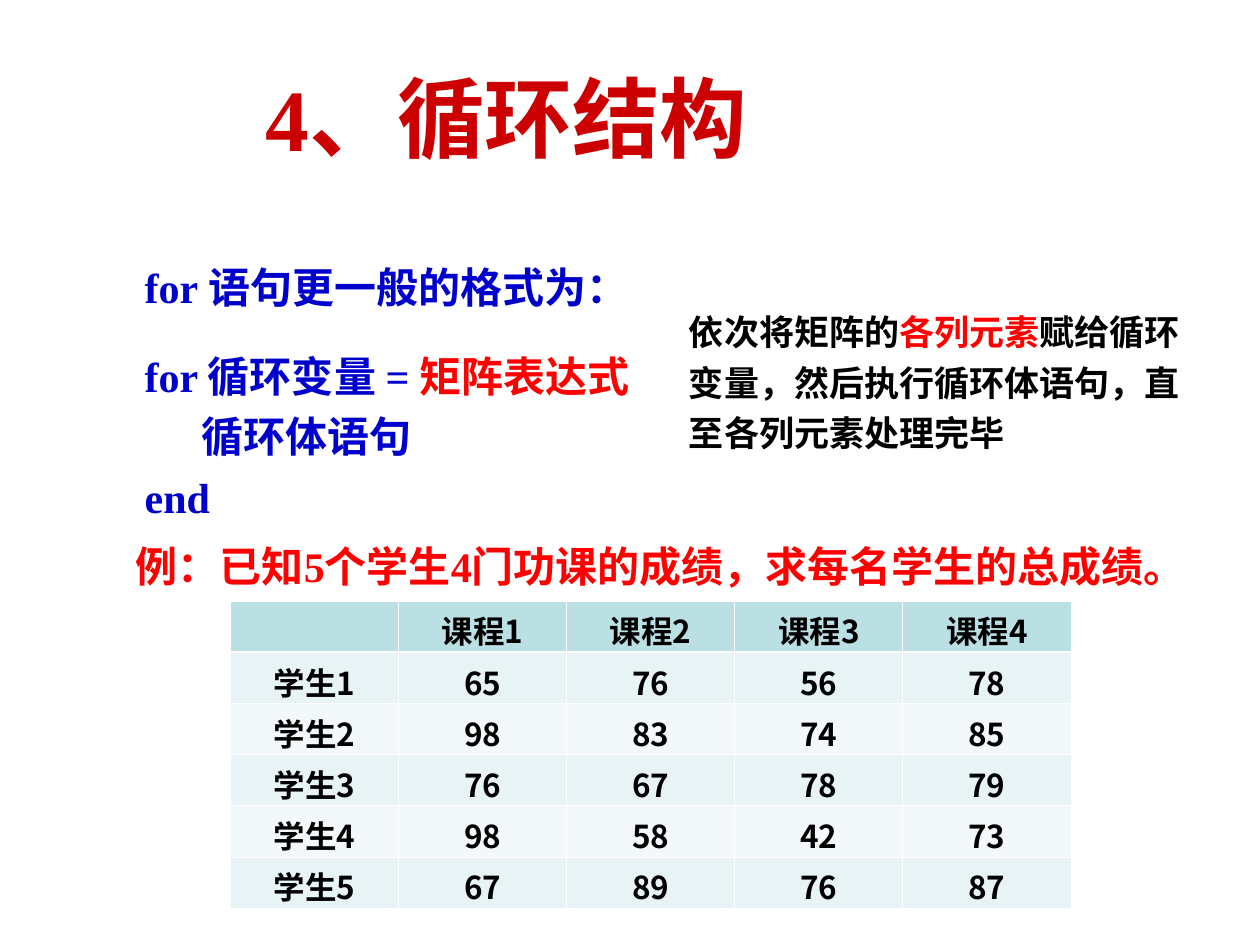
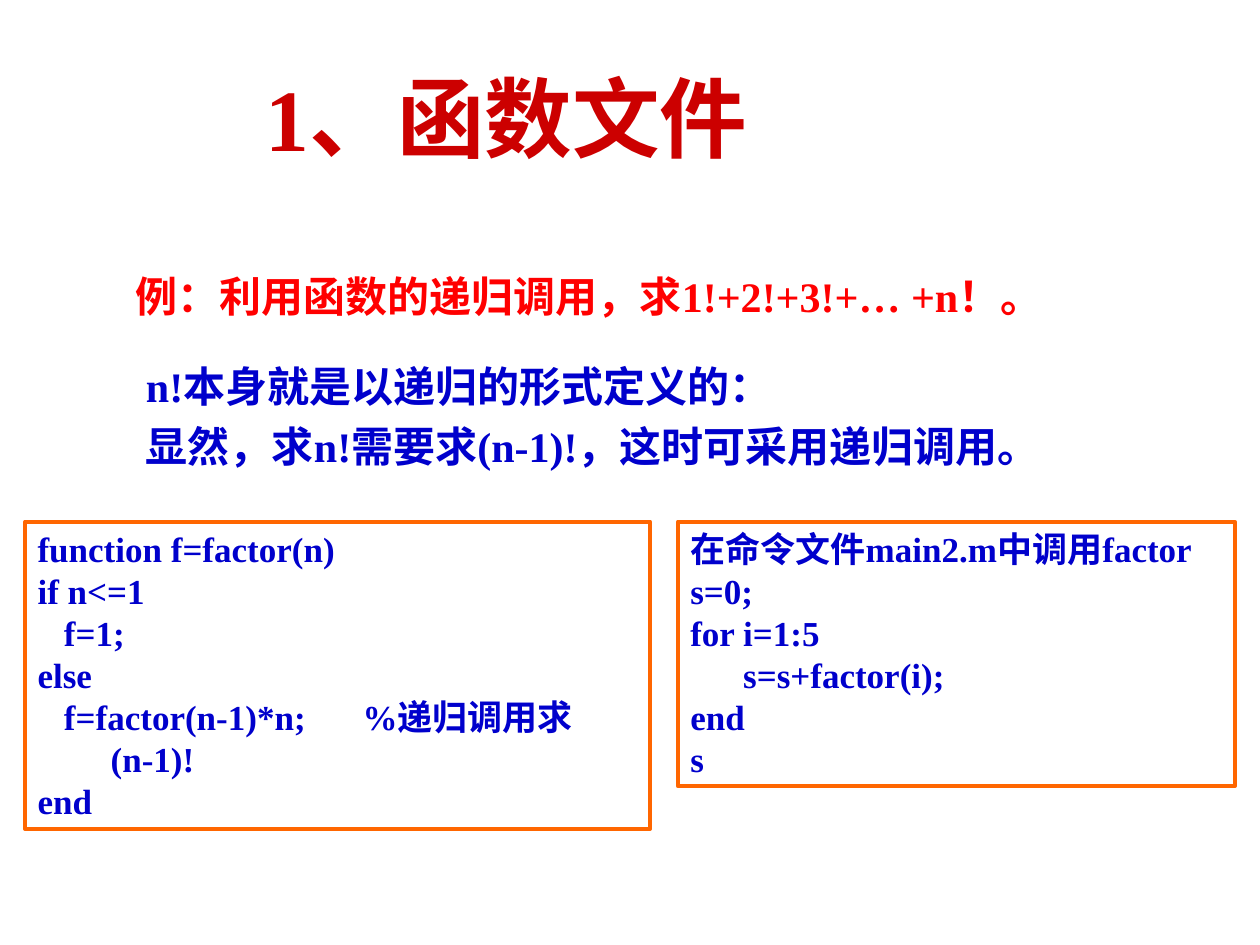
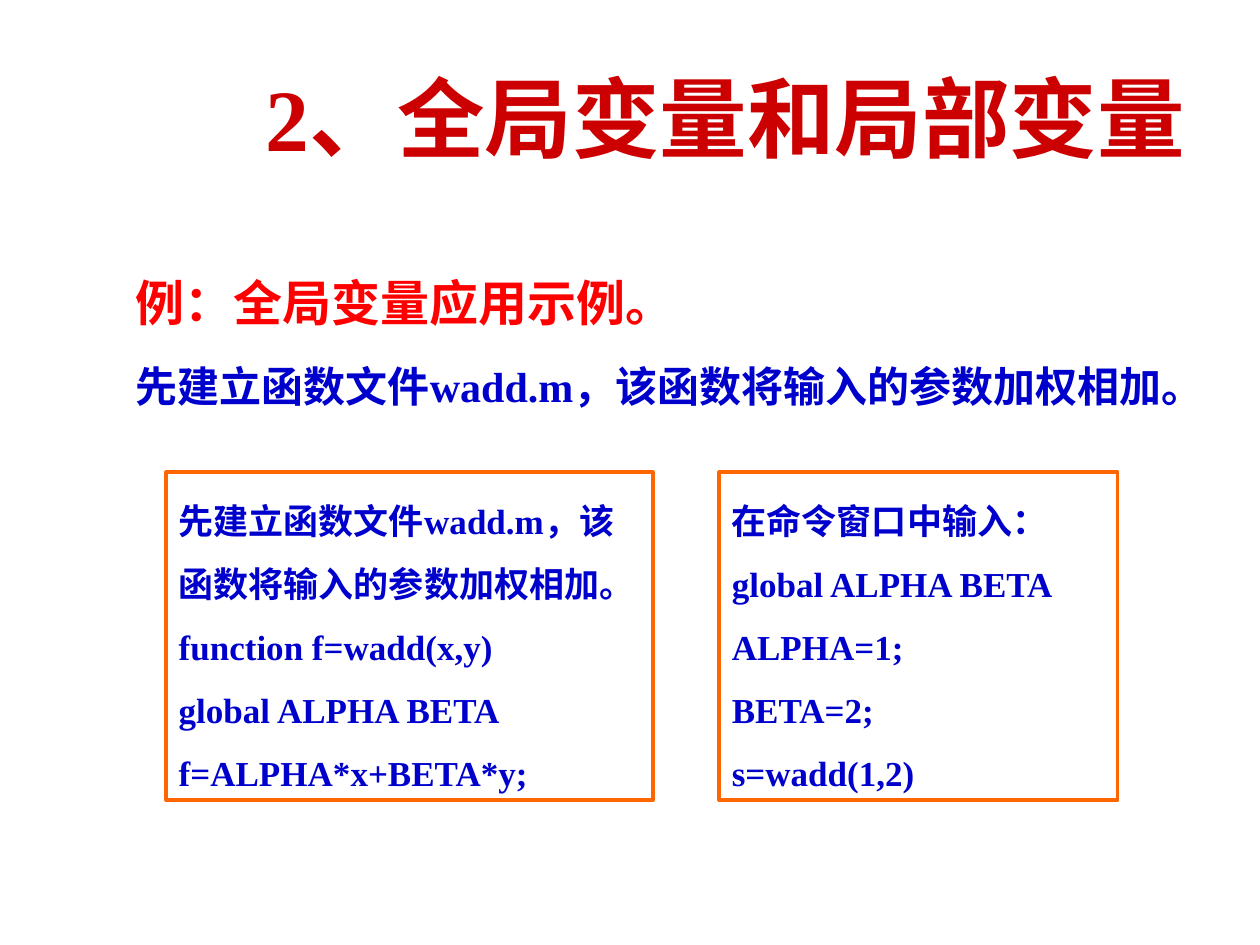
from dataclasses import dataclass

from lxml.etree import SubElement
from pptx import Presentation
from pptx.dml.color import RGBColor
from pptx.enum.shapes import MSO_SHAPE
from pptx.enum.text import MSO_ANCHOR, MSO_AUTO_SIZE, PP_ALIGN
from pptx.oxml.ns import qn
from pptx.util import Inches, Pt

LATIN_FONT = "Times New Roman"
CHINESE_FONT = "Noto Sans CJK SC"
TITLE_RED, RED, BLUE, BLACK = "CC0000", "FF0000", "0000CC", "000000"
FRAME_ORANGE, WHITE = "FF6600", "FFFFFF"
HEADER_FILL, BAND_FILLS = "BBE0E3", ("E7F3F4", "F3F9FA")
HANG = 0.58
CODE_TOP_RECURSION, CODE_TOP_GLOBAL = 4.14, 3.75

SCORES = [
    ["", "课程1", "课程2", "课程3", "课程4"],
    ["学生1", "65", "76", "56", "78"],
    ["学生2", "98", "83", "74", "85"],
    ["学生3", "76", "67", "78", "79"],
    ["学生4", "98", "58", "42", "73"],
    ["学生5", "67", "89", "76", "87"],
]


@dataclass
class Line:
    """One paragraph: (text, colour) runs, first-line offset and tab stop in inches."""
    runs: list
    offset: float = 0
    tab: float = 0


def rgb(value):
    return RGBColor.from_string(value)


def blue_lines(*texts):
    return [Line([(text, BLUE)]) for text in texts]


def add_run(paragraph, text, size, colour, latin=LATIN_FONT):
    run = paragraph.add_run()
    run.text = text
    run.font.size = Pt(size)
    run.font.bold = True
    run.font.color.rgb = rgb(colour)
    run.font.name = latin
    SubElement(run.font._element, qn("a:ea")).set("typeface", CHINESE_FONT)


def set_indent(paragraph, hang, line):
    """Hang wrapped lines, shift the first line and place the tab stop."""
    properties = paragraph._p.get_or_add_pPr()
    properties.set("marL", str(Inches(hang or line.offset)))
    properties.set("indent", str(Inches(line.offset - hang if hang else 0)))
    if line.tab:
        stops = SubElement(properties, qn("a:tabLst"))
        SubElement(stops, qn("a:tab"), pos=str(Inches(line.tab)), algn="l")


def fill_text(frame, lines, size, spacing, before=0, hang=0):
    frame.word_wrap = True
    frame.auto_size = MSO_AUTO_SIZE.SHAPE_TO_FIT_TEXT
    frame.vertical_anchor = MSO_ANCHOR.TOP
    for index, line in enumerate(lines):
        paragraph = frame.add_paragraph() if index else frame.paragraphs[0]
        paragraph.alignment = PP_ALIGN.LEFT
        paragraph.line_spacing = spacing
        paragraph.space_before = Pt(before)
        set_indent(paragraph, hang, line)
        for text, colour in line.runs:
            add_run(paragraph, text, size, colour)


def add_text(slide, place, lines, size=24, spacing=1.2, **layout):
    box = slide.shapes.add_textbox(*map(Inches, place))
    fill_text(box.text_frame, lines, size, spacing, **layout)


def add_code_frame(slide, place, lines, spacing=1.0, hang=HANG):
    frame = slide.shapes.add_shape(MSO_SHAPE.RECTANGLE, *map(Inches, place))
    frame.shadow.inherit = False
    frame.fill.background()
    frame.line.color.rgb = rgb(FRAME_ORANGE)
    frame.line.width = Pt(2.25)
    fill_text(frame.text_frame, lines, 20, spacing, hang=hang)


def add_titled_slide(deck, text, width=7.49):
    slide = deck.slides.add_slide(deck.slide_layouts[5])
    title = slide.shapes.title
    title.left, title.top = Inches(2.01), Inches(0.3)
    title.width, title.height = Inches(width), Inches(1.25)
    title.text_frame.vertical_anchor = MSO_ANCHOR.MIDDLE
    title.text_frame.auto_size = MSO_AUTO_SIZE.NONE
    paragraph = title.text_frame.paragraphs[0]
    paragraph.alignment = PP_ALIGN.LEFT
    add_run(paragraph, text, 50, TITLE_RED)
    return slide


def set_borders(cell, widths):
    """Draw white left, right, top and bottom borders ahead of the cell fill."""
    properties = cell._tc.get_or_add_tcPr()
    for position, (side, width) in enumerate(zip("LRTB", widths)):
        border = SubElement(properties, qn(f"a:ln{side}"), w=str(Pt(width)))
        fill = SubElement(border, qn("a:solidFill"))
        SubElement(fill, qn("a:srgbClr"), val=WHITE)
        properties.insert(position, border)


def add_score_table(slide):
    place = map(Inches, (1.83, 4.77, 6.67, 2.44))
    table = slide.shapes.add_table(len(SCORES), len(SCORES[0]), *place).table
    thin, thick = 0.45, 1.47
    for row, values in enumerate(SCORES):
        for column, value in enumerate(values):
            cell = table.cell(row, column)
            cell.fill.solid()
            cell.fill.fore_color.rgb = rgb(BAND_FILLS[(row - 1) % 2] if row else HEADER_FILL)
            set_borders(cell, (thin, thin, thick if row == 1 else thin, thin if row else thick))
            paragraph = cell.text_frame.paragraphs[0]
            paragraph.alignment = PP_ALIGN.CENTER
            if value:
                add_run(paragraph, value, 18, BLACK, CHINESE_FONT)


def build_loop_slide(deck):
    slide = add_titled_slide(deck, "4、循环结构")
    add_text(slide, (1.05, 2.1, 8.51, 0.42), blue_lines("for 语句更一般的格式为："),
             spacing=0.8, before=6)
    add_text(slide, (1.05, 2.65, 4.66, 1.54), [
        Line([("for 循环变量 = ", BLUE), ("矩阵表达式", RED)]),
        Line([("循环体语句", BLUE)], offset=0.45),
        Line([("end", BLUE)]),
    ])
    add_text(slide, (0.98, 4.16, 8.36, 1.06),
             [Line([("例：已知5个学生4门功课的成绩，求每名学生的总成绩。", RED)])])
    add_score_table(slide)
    add_text(slide, (5.37, 2.35, 4.36, 1.3), [Line([
        ("依次将矩阵的", BLACK),
        ("各列元素", RED),
        ("赋给循环变量，然后执行循环体语句，直至各列元素处理完毕", BLACK),
    ])], size=20)


def build_function_slide(deck):
    slide = add_titled_slide(deck, "1、函数文件")
    add_text(slide, (0.98, 2.02, 8.43, 0.58),
             [Line([("例：利用函数的递归调用，求1!+2!+3!+… +n！。", RED)])])
    add_text(slide, (1.06, 2.73, 7.95, 1.06), blue_lines(
        "n!本身就是以递归的形式定义的：",
        "显然，求n!需要求(n-1)!，这时可采用递归调用。",
    ), hang=HANG)
    add_code_frame(slide, (0.2, CODE_TOP_RECURSION, 4.96, 2.44), [
        *blue_lines("function f=factor(n)", "if n<=1"),
        Line([("f=1;", BLUE)], offset=0.21),
        *blue_lines("else"),
        Line([("f=factor(n-1)*n;\t%递归调用求(n-1)!", BLUE)], offset=0.21, tab=2.43),
        *blue_lines("end"),
    ])
    add_code_frame(slide, (5.38, CODE_TOP_RECURSION, 4.42, 2.1), [
        *blue_lines("在命令文件main2.m中调用factor", "s=0;", "for i=1:5"),
        Line([("s=s+factor(i);", BLUE)], offset=0.42),
        *blue_lines("end", "s"),
    ])


def build_variable_slide(deck):
    slide = add_titled_slide(deck, "2、全局变量和局部变量", width=7.87)
    wadd_note = "先建立函数文件wadd.m，该函数将输入的参数加权相加。"
    add_text(slide, (0.98, 2.02, 8.43, 0.66),
             [Line([("例：全局变量应用示例。", RED)])], size=28)
    add_code_frame(slide, (1.32, CODE_TOP_GLOBAL, 3.86, 2.6), blue_lines(
        wadd_note, "function f=wadd(x,y)", "global ALPHA BETA", "f=ALPHA*x+BETA*y;",
    ), spacing=1.5, hang=0)
    add_code_frame(slide, (5.71, CODE_TOP_GLOBAL, 3.16, 2.6), blue_lines(
        "在命令窗口中输入：", "global ALPHA BETA", "ALPHA=1;", "BETA=2;", "s=wadd(1,2)",
    ), spacing=1.5)
    add_text(slide, (0.98, 2.89, 8.52, 0.42), blue_lines(wadd_note), spacing=0.8, before=6)


def main():
    deck = Presentation()
    deck.slide_width, deck.slide_height = Inches(10), Inches(7.5)
    build_loop_slide(deck)
    build_function_slide(deck)
    build_variable_slide(deck)
    deck.save("out.pptx")


if __name__ == "__main__":
    main()
